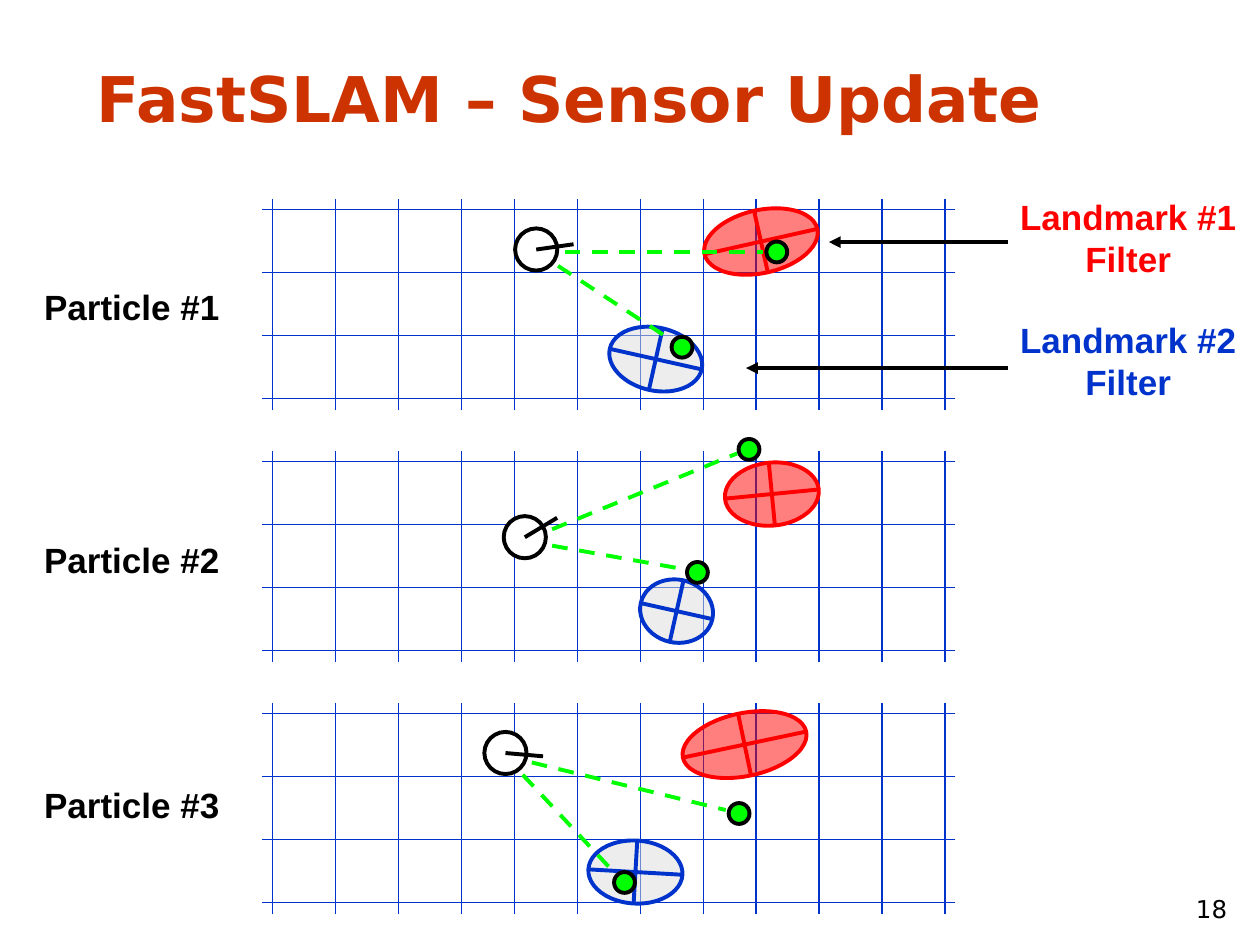
import math
from typing import NamedTuple

import pptx
import pptx.dml.color
import pptx.enum.dml
import pptx.enum.shapes
import pptx.enum.text
import pptx.oxml
import pptx.oxml.ns
import pptx.util

Cm = pptx.util.Cm
Pt = pptx.util.Pt
RGBColor = pptx.dml.color.RGBColor
Align = pptx.enum.text.PP_ALIGN
Anchor = pptx.enum.text.MSO_ANCHOR

RUST = RGBColor(0xCC, 0x33, 0x00)
BLACK = RGBColor(0x00, 0x00, 0x00)
WHITE = RGBColor(0xFF, 0xFF, 0xFF)
RED = RGBColor(0xFF, 0x00, 0x00)
BLUE = RGBColor(0x00, 0x33, 0xCC)
GREY = RGBColor(0xDD, 0xDD, 0xDD)
GREEN = RGBColor(0x00, 0xFF, 0x00)

# All lengths below are in centimetres, angles in clockwise degrees.
CELL = 1.27
GRID_LEFT, GRID_RIGHT = 5.29, 19.26
GRID_TOP, GRID_HEIGHT, GRID_PITCH = 4.02, 4.24, 5.08
FIRST_COLUMN, BLOCK_PITCH = 5.5, 4.87
FIRST_ROW = 4.23
ROBOT_SIZE, HEADING_LENGTH, SIGHTING_SIZE = 0.85, 0.76, 0.42

LABEL_FORMAT = {"name": "Arial", "size": Pt(20), "bold": True}
TITLE_FORMAT = {"name": "DejaVu Sans", "size": Pt(36), "bold": True}
NUMBER_FORMAT = {"name": "DejaVu Sans", "size": Pt(14), "bold": False}


class Point(NamedTuple):
    x: float
    y: float


class Landmark(NamedTuple):
    center: Point
    width: float
    angle: float


class Sighting(NamedTuple):
    start: Point
    end: Point
    dot: Point


class Particle(NamedTuple):
    name: str
    label_top: float
    robot: Point
    heading: float
    red: Landmark
    blue: Landmark
    sightings: tuple[Sighting, ...]


class Filter(NamedTuple):
    name: str
    top: float
    color: RGBColor
    arrow_y: float
    arrow_end: float


PARTICLES = (
    Particle("Particle #1", 5.64, Point(10.81, 5.03), -8,
             Landmark(Point(15.34, 4.87), 2.33, -12.6),
             Landmark(Point(13.22, 7.24), 1.9, 12.6),
             (Sighting(Point(11.25, 5.36), Point(13.54, 6.86), Point(13.75, 7)),
              Sighting(Point(11.38, 5.08), Point(15.39, 5.08), Point(15.66, 5.08)))),
    Particle("Particle #2", 10.74, Point(10.58, 10.83), -31,
             Landmark(Point(15.56, 9.96), 1.9, -5.6),
             Landmark(Point(13.64, 12.32), 1.48, 12.6),
             (Sighting(Point(11.13, 11), Point(13.82, 11.48), Point(14.06, 11.54)),
              Sighting(Point(11.13, 10.67), Point(14.86, 9.14), Point(15.1, 9.06)))),
    Particle("Particle #3", 15.67, Point(10.19, 15.18), 5,
             Landmark(Point(15.01, 15.01), 2.54, -11.9),
             Landmark(Point(12.81, 17.58), 1.9, 3.3),
             (Sighting(Point(10.54, 15.62), Point(12.42, 17.63), Point(12.59, 17.79)),
              Sighting(Point(10.72, 15.37), Point(14.63, 16.33), Point(14.9, 16.4)))),
)

FILTERS = (
    Filter("Landmark #1", 3.81, RED, 4.88, 16.71),
    Filter("Landmark #2", 6.3, BLUE, 7.42, 15.04),
)


def polar(center: Point, length: float, angle: float) -> Point:
    turn = math.radians(angle)
    return Point(center.x + length * math.cos(turn), center.y + length * math.sin(turn))


def draw_line(page, start: Point, end: Point, color: RGBColor, weight: float = 2.25,
              dash=None, arrow: bool = False) -> None:
    line = page.shapes.add_connector(pptx.enum.shapes.MSO_CONNECTOR.STRAIGHT,
                                     Cm(start.x), Cm(start.y), Cm(end.x), Cm(end.y))
    line.line.color.rgb = color
    line.line.width = Pt(weight)
    if dash is not None:
        line.line.dash_style = dash
    if arrow:
        head = pptx.oxml.parse_xml(
            f'<a:tailEnd {pptx.oxml.ns.nsdecls("a")} type="triangle"/>')
        line.line._get_or_add_ln().append(head)
    properties = line._element.spPr
    properties.append(properties.makeelement(pptx.oxml.ns.qn("a:effectLst"), {}))


def draw_ellipse(page, center: Point, width: float, height: float, fill: RGBColor,
                 outline: RGBColor, angle: float = 0, opacity: int = 100) -> None:
    oval = page.shapes.add_shape(pptx.enum.shapes.MSO_SHAPE.OVAL,
                                 Cm(center.x - width / 2), Cm(center.y - height / 2),
                                 Cm(width), Cm(height))
    oval.shadow.inherit = False
    oval.rotation = angle
    oval.fill.solid()
    oval.fill.fore_color.rgb = fill
    oval.line.color.rgb = outline
    oval.line.width = Pt(2.25)
    if opacity < 100:
        color = oval._element.spPr.find(".//" + pptx.oxml.ns.qn("a:srgbClr"))
        alpha = color.makeelement(pptx.oxml.ns.qn("a:alpha"), {"val": str(opacity * 1000)})
        color.append(alpha)


def write(box, lines: tuple[str, ...], formats: dict, color: RGBColor,
          align=Align.LEFT, anchor=Anchor.TOP, wrap: bool = False) -> None:
    frame = box.text_frame
    frame.auto_size = pptx.enum.text.MSO_AUTO_SIZE.NONE
    frame.word_wrap = wrap
    frame.vertical_anchor = anchor
    for number, line in enumerate(lines):
        para = frame.add_paragraph() if number else frame.paragraphs[0]
        para.alignment = align
        span = para.add_run()
        span.text = line
        for name, value in formats.items():
            setattr(span.font, name, value)
        span.font.color.rgb = color


def draw_grid(page, offset: float) -> None:
    top = GRID_TOP + offset
    for block in range(3):
        for column in range(4):
            x = FIRST_COLUMN + block * BLOCK_PITCH + column * CELL
            draw_line(page, Point(x, top), Point(x, top + GRID_HEIGHT), BLUE, 0.75)
    for row in range(4):
        y = FIRST_ROW + offset + row * CELL
        draw_line(page, Point(GRID_RIGHT, y), Point(GRID_LEFT, y), BLUE, 0.75)


def draw_landmark(page, landmark: Landmark, fill: RGBColor, outline: RGBColor) -> None:
    center, width, angle = landmark
    draw_ellipse(page, center, width, CELL, fill, outline, angle, opacity=50)
    for radius, turn in ((width / 2, angle), (CELL / 2, angle + 90)):
        draw_line(page, polar(center, -radius, turn), polar(center, radius, turn), outline)


def draw_particle(page, particle: Particle) -> None:
    label = page.shapes.add_textbox(Cm(0.64), Cm(particle.label_top), Cm(4.04), Cm(1.12))
    write(label, (particle.name,), LABEL_FORMAT, BLACK)
    draw_landmark(page, particle.red, RED, RED)
    draw_landmark(page, particle.blue, GREY, BLUE)
    draw_ellipse(page, particle.robot, ROBOT_SIZE, ROBOT_SIZE, WHITE, BLACK)
    draw_line(page, particle.robot,
              polar(particle.robot, HEADING_LENGTH, particle.heading), BLACK)
    for start, end, dot in particle.sightings:
        draw_ellipse(page, dot, SIGHTING_SIZE, SIGHTING_SIZE, GREEN, BLACK)
        draw_line(page, start, end, GREEN, dash=pptx.enum.dml.MSO_LINE.DASH)


def main() -> None:
    deck = pptx.Presentation()
    deck.slide_width, deck.slide_height = Cm(25.4), Cm(19.05)
    page = deck.slides.add_slide(deck.slide_layouts[5])

    # Title
    title = page.shapes.title
    title.left, title.top, title.width, title.height = Cm(1.7), Cm(1.07), Cm(23.39), Cm(1.78)
    write(title, ("FastSLAM – Sensor Update",), TITLE_FORMAT, RUST,
          anchor=Anchor.BOTTOM, wrap=True)

    # One map per particle
    for index, particle in enumerate(PARTICLES):
        draw_grid(page, index * GRID_PITCH)
        draw_particle(page, particle)

    # Filter labels and their arrows
    for item in FILTERS:
        label = page.shapes.add_textbox(Cm(20.32), Cm(item.top), Cm(4.85), Cm(1.96))
        write(label, (item.name, "Filter"), LABEL_FORMAT, item.color, Align.CENTER)
        draw_line(page, Point(20.32, item.arrow_y), Point(item.arrow_end, item.arrow_y),
                  BLACK, arrow=True)

    # Page number
    number = page.shapes.add_textbox(Cm(23.29), Cm(17.48), Cm(1.7), Cm(1.27))
    write(number, ("18",), NUMBER_FORMAT, BLACK, Align.RIGHT, Anchor.BOTTOM, wrap=True)

    deck.save("out.pptx")


if __name__ == "__main__":
    main()
